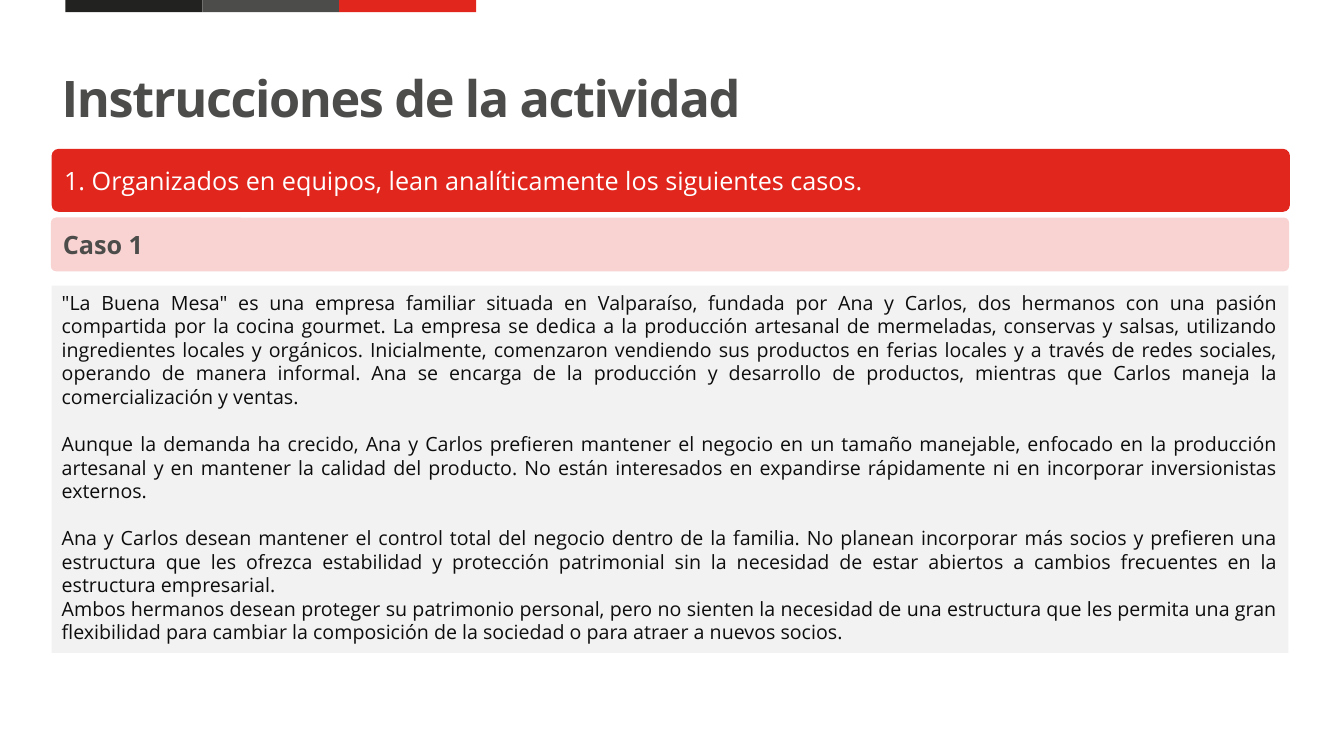
from pptx import Presentation
from pptx.dml.color import RGBColor
from pptx.enum.shapes import MSO_SHAPE as Preset
from pptx.enum.text import MSO_ANCHOR as Anchor, MSO_AUTO_SIZE as AutoSize, PP_ALIGN as Align
from pptx.oxml.ns import qn
from pptx.util import Cm, Pt

COLOURS = {
    "black": "222220",
    "grey": "4C4C4B",
    "red": "E1261E",
    "pink": "F9D3D2",
    "panel": "F2F2F2",
    "ink": "0D0D0D",
    "white": "FFFFFF",
}
FONT = "Open Sans"
CASE_LEADING = 16.8
CASE_TEXT = [
    (0, '"La Buena Mesa" es una empresa familiar situada en Valparaíso, fundada por Ana y Carlos, '
        "dos hermanos con una pasión compartida por la cocina gourmet. La empresa se dedica a la "
        "producción artesanal de mermeladas, conservas y salsas, utilizando ingredientes locales y "
        "orgánicos. Inicialmente, comenzaron vendiendo sus productos en ferias locales y a través de "
        "redes sociales, operando de manera informal. Ana se encarga de la producción y desarrollo de "
        "productos, mientras que Carlos maneja la comercialización y ventas."),
    (CASE_LEADING, "Aunque la demanda ha crecido, Ana y Carlos prefieren mantener el negocio en un "
        "tamaño manejable, enfocado en la producción artesanal y en mantener la calidad del producto. "
        "No están interesados en expandirse rápidamente ni en incorporar inversionistas externos."),
    (CASE_LEADING, "Ana y Carlos desean mantener el control total del negocio dentro de la familia. "
        "No planean incorporar más socios y prefieren una estructura que les ofrezca estabilidad y "
        "protección patrimonial sin la necesidad de estar abiertos a cambios frecuentes en la "
        "estructura empresarial."),
    (0, "Ambos hermanos desean proteger su patrimonio personal, pero no sienten la necesidad de una "
        "estructura que les permita una gran flexibilidad para cambiar la composición de la sociedad "
        "o para atraer a nuevos socios."),
]


def colour(name):
    return RGBColor.from_string(COLOURS[name])


def place(shape, box):
    shape.left, shape.top, shape.width, shape.height = (Cm(length) for length in box)


def add_span(para, text, size, tint, bold=False):
    span = para.add_run()
    span.text = text
    span.font.name = FONT
    span.font.size = Pt(size)
    span.font.bold = bold
    span.font.color.rgb = colour(tint)
    return span


def add_block(page, preset, box, fill):
    block = page.shapes.add_shape(preset, *(Cm(length) for length in box))
    block.shadow.inherit = False
    block.fill.solid()
    block.fill.fore_color.rgb = colour(fill)
    block.line.fill.background()
    return block


def draw_strip(page, box):
    left, top, width, height = box
    tints = ["black", "grey", "red"]
    step = width / len(tints)
    for index, tint in enumerate(tints):
        add_block(page, Preset.RECTANGLE, (left + index * step, top, step, height), tint)


def fill_title(page, box, text):
    title = page.shapes.title
    place(title, box)
    frame = title.text_frame
    frame.word_wrap = True
    frame.auto_size = AutoSize.NONE
    frame.vertical_anchor = Anchor.TOP
    para = frame.paragraphs[0]
    para.alignment = Align.LEFT
    para.line_spacing = Pt(42)
    span = add_span(para, text, 36, "grey", True)
    span.font._element.set("spc", "-100")


def draw_bar(page, box, text, fill, tint, rounding, bold=False):
    bar = add_block(page, Preset.ROUNDED_RECTANGLE, box, fill)
    bar.adjustments[0] = rounding
    bar.line.color.rgb = colour(fill)
    bar.line.width = Pt(1)
    frame = bar.text_frame
    frame.word_wrap = True
    frame.vertical_anchor = Anchor.MIDDLE
    para = frame.paragraphs[0]
    para.alignment = Align.JUSTIFY
    add_span(para, text, 18, tint, bold)


def fill_case(page, box, paragraphs):
    body = page.placeholders[1]
    place(body, box)
    body.fill.solid()
    body.fill.fore_color.rgb = colour("panel")
    frame = body.text_frame
    frame.word_wrap = True
    frame.auto_size = AutoSize.NONE
    frame.vertical_anchor = Anchor.TOP
    for index, (gap, text) in enumerate(paragraphs):
        para = frame.add_paragraph() if index else frame.paragraphs[0]
        para.alignment = Align.JUSTIFY
        para.line_spacing = Pt(CASE_LEADING)
        para.space_before = Pt(gap)
        properties = para._p.get_or_add_pPr()
        properties.set("marL", "0")
        properties.set("indent", "0")
        properties.append(properties.makeelement(qn("a:buNone"), {}))
        add_span(para, text, 14, "ink")


def main():
    deck = Presentation()
    deck.slide_width, deck.slide_height = Cm(33.87), Cm(19.05)
    page = deck.slides.add_slide(deck.slide_layouts[1])
    draw_strip(page, (1.65, 0, 10.35, 0.31))
    fill_title(page, (1.3, 1.6, 22.12, 1.75), "Instrucciones de la actividad")
    fill_case(page, (1.3, 7.2, 31.17, 9.25), CASE_TEXT)
    draw_bar(page, (1.32, 3.77, 31.17, 1.55),
             "1. Organizados en equipos, lean analíticamente los siguientes casos.",
             "red", "white", 0.1)
    draw_bar(page, (1.3, 5.5, 31.17, 1.32), "Caso 1", "pink", "grey", 0.09, True)
    deck.save("out.pptx")


if __name__ == "__main__":
    main()
